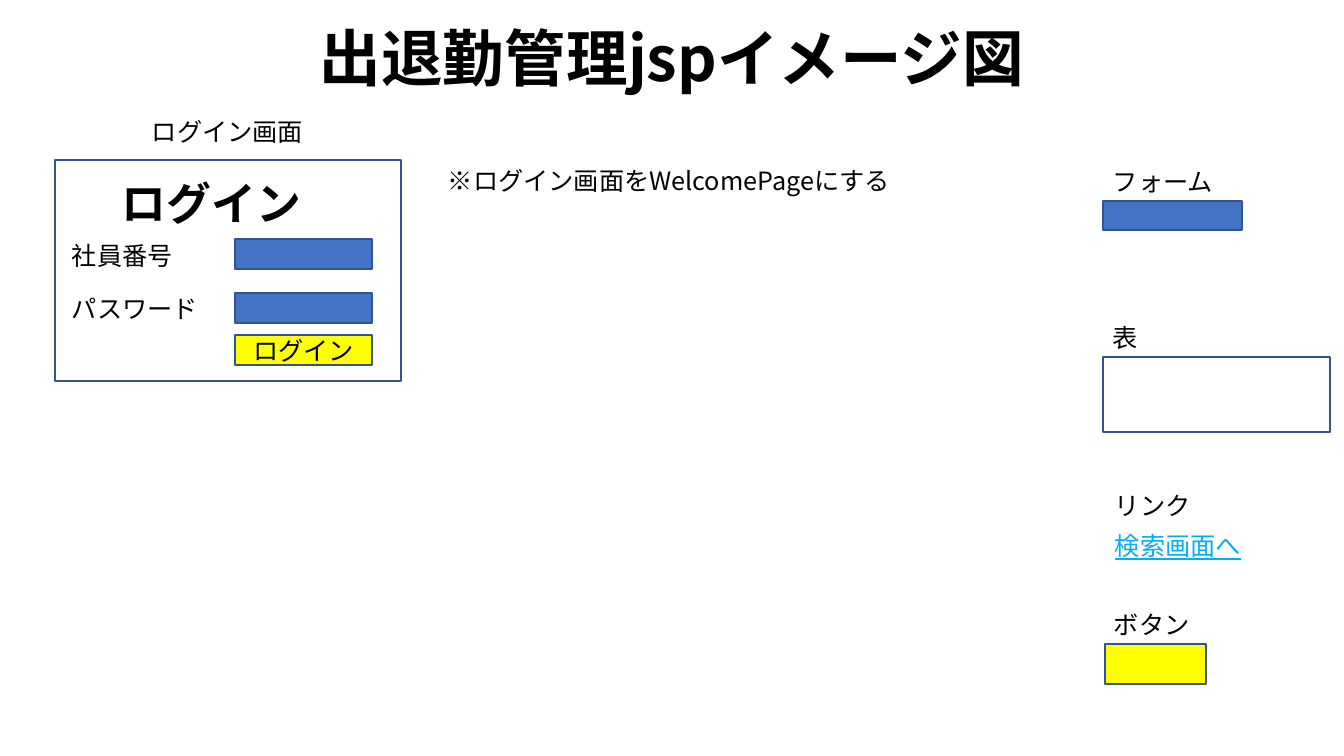
from lxml import etree
from pptx import Presentation
from pptx.dml.color import RGBColor
from pptx.enum.shapes import MSO_SHAPE
from pptx.enum.text import MSO_ANCHOR, PP_ALIGN
from pptx.oxml.ns import qn
from pptx.util import Emu, Pt

RECT = MSO_SHAPE.RECTANGLE
TOP, MIDDLE, BOTTOM = MSO_ANCHOR.TOP, MSO_ANCHOR.MIDDLE, MSO_ANCHOR.BOTTOM
LEFT, CENTER = PP_ALIGN.LEFT, PP_ALIGN.CENTER
BLUE, YELLOW, LINE, LINK, BLACK = "4472C4", "FFFF00", "325491", "00B0F0", "000000"


def px(*values):
    return [Emu(round(v * 914400 / 100.8)) for v in values]


def rgb(value):
    return RGBColor.from_string(value)


class Page:
    font = "Noto Sans CJK JP"
    size = 18
    label_height = 40

    def __init__(self, prs):
        self.s = prs.slides.add_slide(prs.slide_layouts[6])

    def fill_text(self, tf, text, color=BLACK, align=LEFT, anchor=TOP, wrap=True,
                  spacing=None, size=size, **font):
        for name, value in {"word_wrap": wrap, "vertical_anchor": anchor}.items():
            setattr(tf, name, value)
        p = tf.paragraphs[0]
        for name, value in {"alignment": align, "line_spacing": spacing}.items():
            setattr(p, name, value)
        r = p.add_run()
        r.text = text
        for name, value in {"name": self.font, "size": Pt(size), **font}.items():
            setattr(r.font, name, value)
        r.font.color.rgb = rgb(color)
        # Japanese glyphs take the East Asian typeface
        ea = etree.SubElement(r.font._element, qn("a:ea"))
        ea.set("typeface", self.font)

    def text(self, x, y, w, text, h=label_height, **style):
        tf = self.s.shapes.add_textbox(*px(x, y, w, h)).text_frame
        self.fill_text(tf, text, **style)

    def box(self, x, y, w, h, fill=None, text=None):
        sp = self.s.shapes.add_shape(RECT, *px(x, y, w, h))
        sp.shadow.inherit = False
        if fill:
            sp.fill.solid()
            sp.fill.fore_color.rgb = rgb(fill)
        else:
            sp.fill.background()
        sp.line.color.rgb = rgb(LINE)
        sp.line.width = Pt(1)
        if text:
            self.fill_text(sp.text_frame, text, align=CENTER, anchor=MIDDLE)


prs = Presentation()
prs.slide_width, prs.slide_height = px(1344, 756)
page = Page(prs)

# Title
page.text(168, 16, 1008, "出退勤管理jspイメージ図", h=84, size=44, bold=True,
          align=CENTER, anchor=BOTTOM, spacing=0.9)

# Legend: each label sits directly above its sample
for label, x, y, w in [("フォーム", 1103, 201, 122), ("表", 1103, 357, 45),
                       ("リンク", 1105, 525, 97), ("ボタン", 1104, 644, 97)]:
    page.text(x, y - page.label_height, w, label, wrap=False)
page.box(1103, 201, 139, 29, BLUE)
page.box(1103, 357, 227, 75)
page.text(1105, 525, 147, "検索画面へ", color=LINK, wrap=False, underline=True)
page.box(1105, 644, 101, 40, YELLOW)

# Login screen
page.box(55, 160, 346, 221)
page.text(112, 171, 233, "ログイン", h=65, size=32, bold=True)
page.text(142, 111, 173, "ログイン画面")
for label, y, w in [("社員番号", 235, 122), ("パスワード", 288, 147)]:
    page.text(62, y, w, label, wrap=False)
for y, fill, text in [(239, BLUE, None), (293, BLUE, None), (335, YELLOW, "ログイン")]:
    page.box(235, y, 137, 30, fill, text)

# Note
page.text(438, 160, 468, "※ログイン画面をWelcomePageにする")

prs.save("out.pptx")
